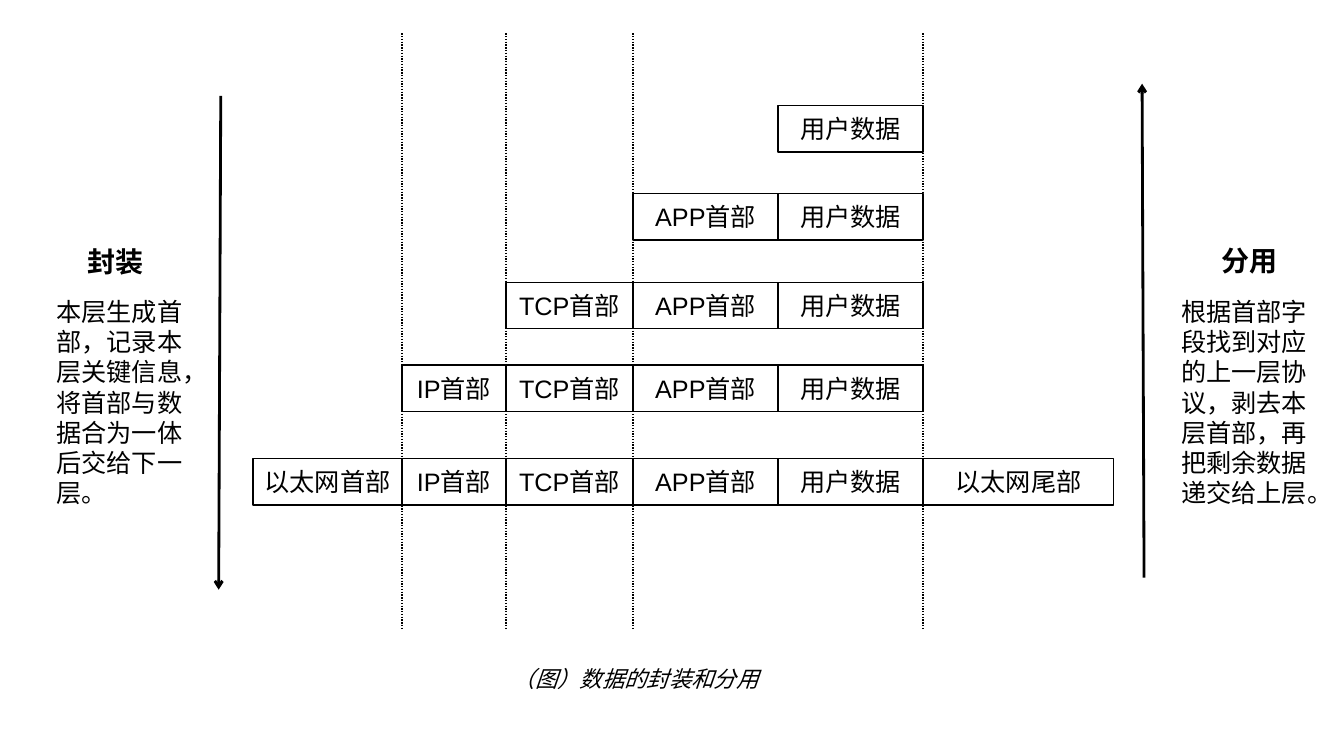
from lxml.etree import SubElement
from pptx import Presentation
from pptx.dml.color import RGBColor
from pptx.enum.dml import MSO_LINE
from pptx.enum.lang import MSO_LANGUAGE_ID
from pptx.enum.shapes import MSO_CONNECTOR, MSO_SHAPE
from pptx.enum.text import MSO_ANCHOR, MSO_AUTO_SIZE, PP_ALIGN
from pptx.oxml.ns import qn
from pptx.util import Pt

BLACK = RGBColor(0, 0, 0)

# Content: fields of the frame with the left edge of each column
FIELDS = ["以太网首部", "IP首部", "TCP首部", "APP首部", "用户数据", "以太网尾部"]
EDGES = [180.7, 287.2, 361.4, 452.2, 555.8, 659.4, 795.5]

# Layers: top, first field, last field
LAYERS = [
    (75.5, 4, 4),
    (138.3, 3, 4),
    (201.6, 2, 4),
    (260.7, 1, 4),
    (327.6, 0, 5),
]
LAYER_HEIGHT = 33.1

# Guides: the column edges that run through all layers
GUIDE_EDGES = [1, 2, 3, 5]
GUIDE_TOP, GUIDE_BOTTOM = 23.8, 448.8

# Arrows: start and end
ARROWS = [
    ((157.7, 68.4), (156.2, 421.2)),
    ((817.2, 412.6), (815.8, 59.8)),
]

# Captions: text, left, top, width, height, size, bold, italic
CAPTIONS = [
    ("封装", 55.4, 171.4, 121, 31.5, 20, True, False),
    ("本层生成首部，记录本层关键信息，将首部与数据合为一体后交给下一层。",
     33.1, 208.1, 107.3, 160, 18, False, False),
    ("分用", 865.4, 170.3, 90, 31.5, 20, True, False),
    ("根据首部字段找到对应的上一层协议，剥去本层首部，再把剩余数据递交给上层。",
     836.6, 208.1, 107.3, 160, 18, False, False),
    ("（图）数据的封装和分用", 359.3, 471.6, 324, 26.6, 16, False, True),
]

deck = Presentation()
deck.slide_width, deck.slide_height = Pt(960), Pt(540)
page = deck.slides.add_slide(deck.slide_layouts[6])


def write(frame, text, font_name, size, bold=False, italic=False):
    frame.word_wrap = True
    frame.text = text
    font = frame.paragraphs[0].runs[0].font
    font.name, font.size, font.bold, font.italic = font_name, Pt(size), bold, italic
    font.color.rgb = BLACK
    font.language_id = MSO_LANGUAGE_ID.SIMPLIFIED_CHINESE


def add_line(start, end, width):
    line = page.shapes.add_connector(
        MSO_CONNECTOR.STRAIGHT, *[Pt(value) for value in (*start, *end)])
    line.line.color.rgb = BLACK
    line.line.width = Pt(width)
    SubElement(line._element.spPr, qn("a:effectLst"))
    return line


# Layers of fields
for top, first, last in LAYERS:
    for column in range(first, last + 1):
        left, right = EDGES[column:column + 2]
        box = page.shapes.add_shape(
            MSO_SHAPE.RECTANGLE, Pt(left), Pt(top), Pt(right - left), Pt(LAYER_HEIGHT))
        box.shadow.inherit = False
        box.fill.background()
        box.line.color.rgb = BLACK
        box.line.width = Pt(1)
        write(box.text_frame, FIELDS[column], "Arial", 18)
        box.text_frame.vertical_anchor = MSO_ANCHOR.MIDDLE
        box.text_frame.paragraphs[0].alignment = PP_ALIGN.CENTER

# Dotted guides
for edge in GUIDE_EDGES:
    guide = add_line((EDGES[edge], GUIDE_TOP), (EDGES[edge], GUIDE_BOTTOM), 1)
    guide.line.dash_style = MSO_LINE.ROUND_DOT

# Direction arrows
for start, end in ARROWS:
    arrow = add_line(start, end, 2)
    SubElement(arrow.line._get_or_add_ln(), qn("a:tailEnd"), type="arrow")

# Captions
for text, left, top, width, height, size, bold, italic in CAPTIONS:
    caption = page.shapes.add_textbox(Pt(left), Pt(top), Pt(width), Pt(height))
    write(caption.text_frame, text, "Calibri", size, bold, italic)
    caption.text_frame.auto_size = MSO_AUTO_SIZE.SHAPE_TO_FIT_TEXT

deck.save("out.pptx")
